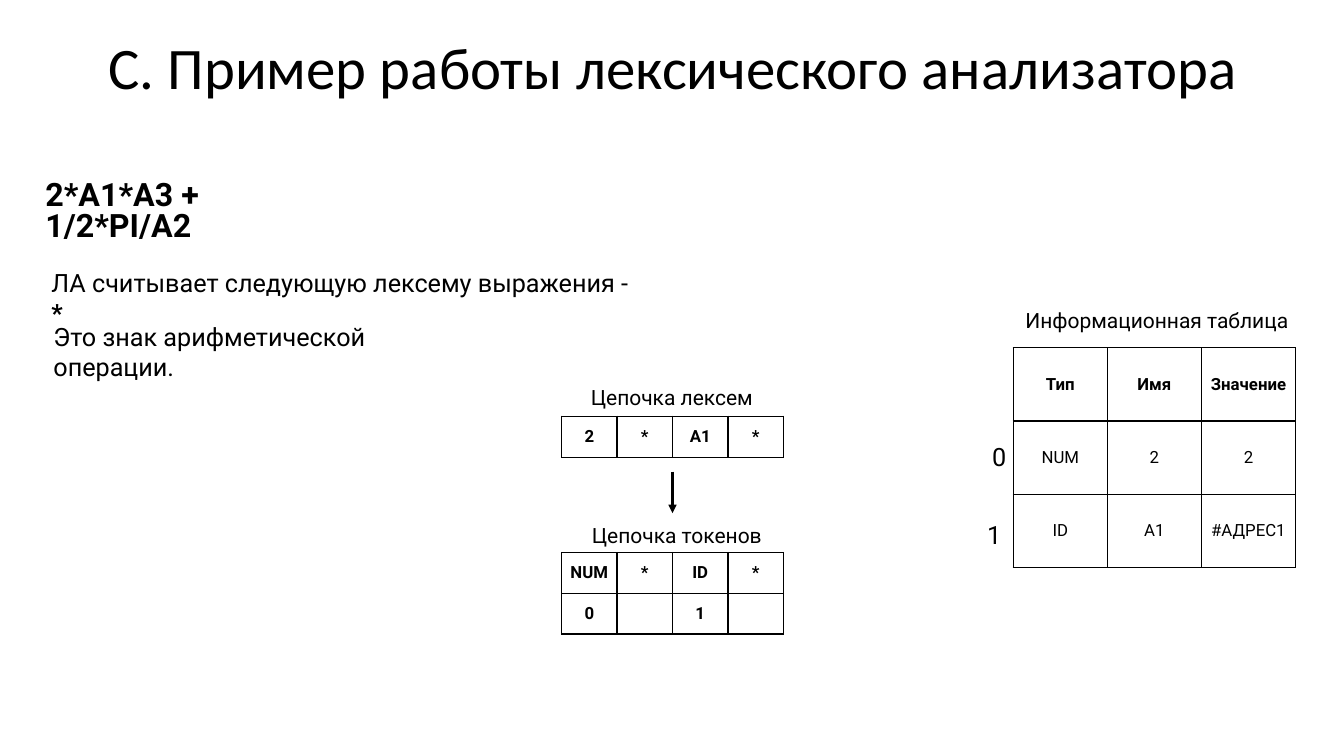
"""Build the slide that shows a lexical analyser at work."""
from dataclasses import dataclass

from lxml.etree import SubElement as Sub
from pptx import Presentation
from pptx.dml.color import RGBColor as Color
from pptx.enum.shapes import MSO_CONNECTOR as Link
from pptx.enum.text import MSO_ANCHOR as Anchor, MSO_AUTO_SIZE as Auto, PP_ALIGN as Align
from pptx.oxml.ns import qn
from pptx.slide import Slide
from pptx.util import Inches, Pt


@dataclass(frozen=True)
class Theme:
    """Colours, fonts and sizes of the slide."""
    ink: str = "000000"
    paper: str = "FFFFFF"
    head: str = "Calibri"
    body: str = "Roboto"
    title: float = 42
    code: float = 23
    text: float = 18
    label: float = 15
    cell: float = 12
    pad: float = 0.05
    edge: float = 1
    arrow: float = 2


@dataclass(frozen=True)
class Note:
    """A text box, with an optional bold ending."""
    text: str
    left: float
    top: float
    width: float
    height: float
    size: float
    wrap: bool = False
    bold: bool = False
    tail: str = ""
    space: float = 1
    before: float = 0


@dataclass(frozen=True)
class Grid:
    """A table with equal columns and equal rows."""
    left: float
    top: float
    width: float
    height: float
    rows: tuple[tuple[str, ...], ...]
    heavy: int


THEME = Theme()
TITLE = "C. Пример работы лексического анализатора"
MID = 6.67

NOTES = (
    Note("2*A1*A3 + 1/2*PI/A2", 0.4, 1.75, 3.09, 0.49, THEME.code,
         wrap=True, bold=True, space=0.81, before=10),
    Note("ЛА считывает следующую лексему выражения - ", 0.46, 2.6, 5.95, 0.4,
         THEME.text, wrap=True, tail="*"),
    Note("Это знак арифметической операции.", 0.48, 3.14, 4.43, 0.4, THEME.text, wrap=True),
    Note("Цепочка лексем", 5.81, 3.77, 1.72, 0.35, THEME.label),
    Note("Цепочка токенов", 5.82, 5.13, 1.81, 0.35, THEME.label),
    Note("Информационная таблица", 10.12, 3, 2.73, 0.35, THEME.label),
    Note("0", 9.79, 4.33, 0.25, 0.41, THEME.text),
    Note("1", 9.74, 5.1, 0.24, 0.4, THEME.text),
)

GRIDS = (
    Grid(5.57, 4.13, 2.2, 0.41, (("2", "*", "A1", "*"),), heavy=1),
    Grid(5.57, 5.48, 2.2, 0.81, (("NUM", "*", "ID", "*"), ("0", "", "1", "")), heavy=2),
    Grid(10.05, 3.45, 2.8, 2.18,
         (("Тип", "Имя", "Значение"), ("NUM", "2", "2"), ("ID", "A1", "#АДРЕС1")), heavy=1),
)


def style(font, size: float, bold: bool = False, face: str = THEME.body) -> None:
    """Set the look of a font."""
    font.name, font.size, font.bold = face, Pt(size), bold
    font.color.rgb = Color.from_string(THEME.ink)


def inset(frame, pad: float) -> None:
    """Set the same margin on all sides."""
    frame.margin_left = frame.margin_right = Inches(pad)
    frame.margin_top = frame.margin_bottom = Inches(pad)


def draw_title(slide: Slide) -> None:
    """Place and format the title."""
    shape = slide.shapes.title
    shape.left, shape.top = Inches(0.92), Inches(0.25)
    shape.width, shape.height = Inches(11.5), Inches(0.9)
    frame = shape.text_frame
    frame.text = TITLE
    frame.auto_size = Auto.NONE
    frame.vertical_anchor = Anchor.MIDDLE
    inset(frame, THEME.pad)
    para = frame.paragraphs[0]
    para.alignment, para.line_spacing = Align.CENTER, 0.9
    style(para.font, THEME.title, face=THEME.head)


def draw_note(slide: Slide, note: Note) -> None:
    """Draw a text box."""
    box = slide.shapes.add_textbox(
        Inches(note.left), Inches(note.top), Inches(note.width), Inches(note.height))
    frame = box.text_frame
    frame.word_wrap = note.wrap
    frame.auto_size = Auto.SHAPE_TO_FIT_TEXT
    inset(frame, THEME.pad)
    para = frame.paragraphs[0]
    para.line_spacing, para.space_before = note.space, Pt(note.before)
    style(para.font, note.size, note.bold)
    para.add_run().text = note.text
    if note.tail:
        run = para.add_run()
        run.text, run.font.bold = note.tail, True


def draw_edges(cell) -> None:
    """Draw the four borders of a cell."""
    props = cell._tc.get_or_add_tcPr()
    for side in ("lnL", "lnR", "lnT", "lnB"):
        line = Sub(props, qn(f"a:{side}"), w=str(Pt(THEME.edge)))
        Sub(Sub(line, qn("a:solidFill")), qn("a:srgbClr"), val=THEME.ink)


def draw_grid(slide: Slide, grid: Grid) -> None:
    """Draw a table."""
    count = len(grid.rows)
    wide = len(grid.rows[0])
    table = slide.shapes.add_table(
        count, wide, Inches(grid.left), Inches(grid.top),
        Inches(grid.width), Inches(grid.height)).table
    table.first_row = table.horz_banding = False
    for y, row in enumerate(grid.rows):
        for x, text in enumerate(row):
            cell = table.cell(y, x)
            draw_edges(cell)
            cell.fill.solid()
            cell.fill.fore_color.rgb = Color.from_string(THEME.paper)
            cell.vertical_anchor = Anchor.MIDDLE
            inset(cell, 0)
            cell.text = text
            para = cell.text_frame.paragraphs[0]
            para.alignment = Align.CENTER
            style(para.font, THEME.cell, y < grid.heavy)


def draw_arrow(slide: Slide) -> None:
    """Draw the arrow from lexemes to tokens."""
    arrow = slide.shapes.add_connector(
        Link.STRAIGHT, Inches(MID), Inches(4.68), Inches(MID), Inches(5.09))
    arrow.line.width = Pt(THEME.arrow)
    arrow.line.color.rgb = Color.from_string(THEME.ink)
    props = arrow._element.spPr
    Sub(props.find(qn("a:ln")), qn("a:tailEnd"), type="triangle")
    Sub(props, qn("a:effectLst"))


def main() -> None:
    """Build and save the slide."""
    deck = Presentation()
    deck.slide_width, deck.slide_height = Inches(13.33), Inches(7.5)
    slide = deck.slides.add_slide(deck.slide_layouts[5])
    draw_title(slide)
    for note in NOTES:
        draw_note(slide, note)
    for grid in GRIDS:
        draw_grid(slide, grid)
    draw_arrow(slide)
    deck.save("out.pptx")


if __name__ == "__main__":
    main()
